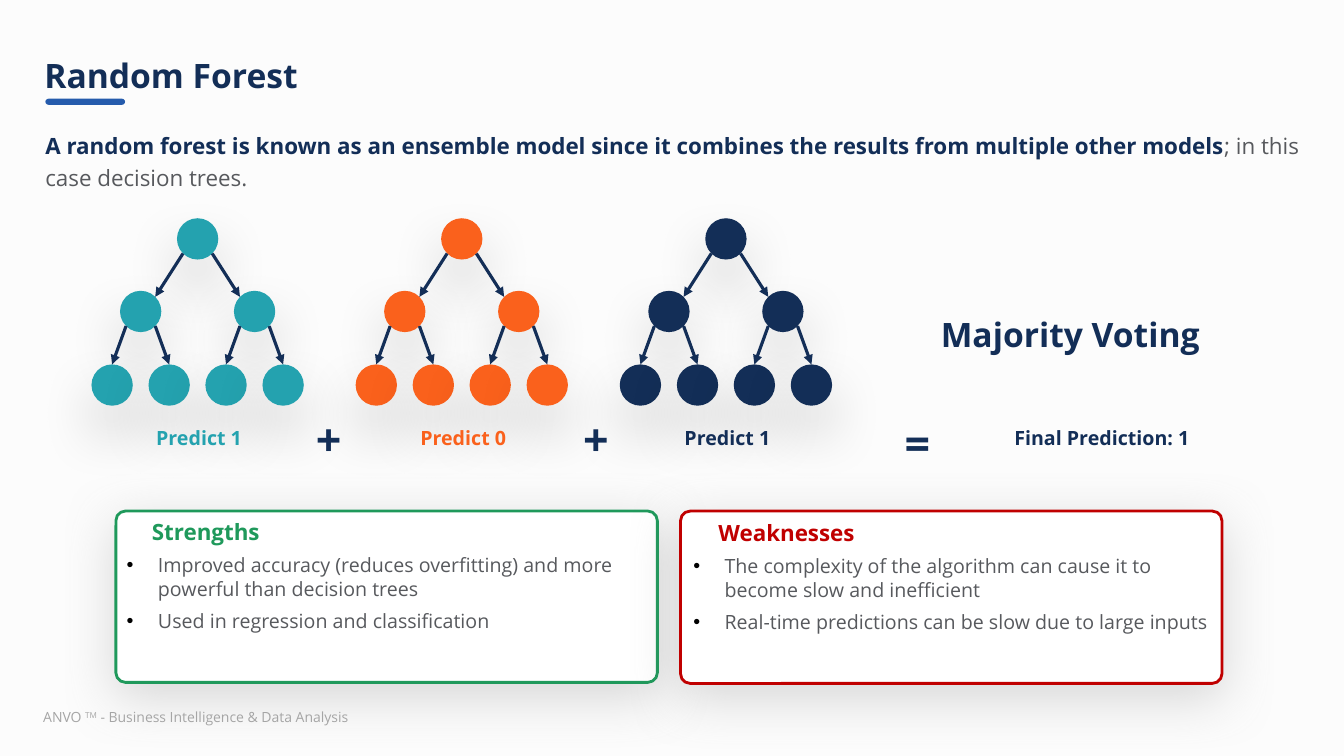
import pptx
import pptx.chart.data
import pptx.dml.color
import pptx.enum.shapes
import pptx.enum.text
import pptx.oxml
import pptx.oxml.ns
import pptx.util
from pptx.util import Inches

FONT = "Open Sans"
NAVY, TEAL, ORANGE = "132E57", "24A2AF", "FA611C"
GREEN, RED, GREY = "1F995B", "C00000", "57595D"
SHAPES = pptx.enum.shapes.MSO_SHAPE
ALIGN = pptx.enum.text.PP_ALIGN
ANCHOR = pptx.enum.text.MSO_ANCHOR
NODE = 0.41  # diameter of a tree node


def color(value):
    return pptx.dml.color.RGBColor.from_string(value)


def add_xml(parent, xml):
    """Append a DrawingML element written without its namespace."""
    tag, rest = xml.split(" ", 1)
    ns = pptx.oxml.ns.nsdecls("a")
    parent.append(pptx.oxml.parse_xml(f"<a:{tag[1:]} {ns} {rest}"))


def add_run(p, text, size, fill, bold=False):
    r = p.add_run()
    r.text = text
    r.font.name = FONT
    r.font.size = pptx.util.Pt(size)
    r.font.bold = bold
    r.font.color.rgb = color(fill)
    return r


def set_frame(tf, insets, anchor=ANCHOR.TOP):
    tf.word_wrap = True
    tf.auto_size = pptx.enum.text.MSO_AUTO_SIZE.NONE
    tf.vertical_anchor = anchor
    tf.margin_left, tf.margin_top, tf.margin_right, tf.margin_bottom = map(Inches, insets)


def add_text(s, box, runs, align=ALIGN.LEFT, spacing=1.2, insets=(0, 0, 0, 0)):
    """Text box with one paragraph; returns its runs."""
    tf = s.shapes.add_textbox(*map(Inches, box)).text_frame
    set_frame(tf, insets)
    p = tf.paragraphs[0]
    p.alignment = align
    p.line_spacing = spacing
    return [add_run(p, *run) for run in runs]


def add_label(s, box, text, size, fill=NAVY):
    add_text(s, box, [(text, size, fill, True)], ALIGN.CENTER)


def add_shape(s, kind, box, fill, line=None, shadow=None):
    """Filled shape; shadow is (colour, opacity %, blur pt, distance pt)."""
    sp = s.shapes.add_shape(kind, *map(Inches, box))
    sp.fill.solid()
    sp.fill.fore_color.rgb = color(fill)
    if line:
        sp.line.color.rgb = color(line)
        sp.line.width = pptx.util.Pt(2)
    else:
        sp.line.fill.background()
    sp.shadow.inherit = False
    if shadow:
        tint, opacity, blur, distance = shadow
        effects = sp._element.spPr.find(pptx.oxml.ns.qn("a:effectLst"))
        add_xml(effects, f'<outerShdw blurRad="{pptx.util.Pt(blur)}" '
                         f'dist="{pptx.util.Pt(distance)}" dir="5400000" algn="t" rotWithShape="0">'
                         f'<a:srgbClr val="{tint}"><a:alpha val="{opacity * 1000}"/>'
                         '</a:srgbClr></a:outerShdw>')
    return sp


def add_arrow(s, x1, y1, x2, y2):
    line = s.shapes.add_connector(pptx.enum.shapes.MSO_CONNECTOR.STRAIGHT,
                                  *map(Inches, (x1, y1, x2, y2)))
    line.line.color.rgb = color(NAVY)
    line.line.width = pptx.util.Pt(2.25)
    add_xml(line.line._get_or_add_ln(), '<tailEnd type="triangle"/>')
    add_xml(line._element.spPr, '<effectLst />')


def add_node(s, cx, cy, fill):
    add_shape(s, SHAPES.OVAL, (cx - NODE / 2, cy - NODE / 2, NODE, NODE), fill,
              shadow=("000000", 20, 40, 20))


def add_tree(s, cx, fill, prediction):
    """Three-level decision tree centred on cx, with its prediction below."""
    root_y, branch_y, leaf_y = 2.37, 3.09, 3.82
    rim = 0.145  # offset of the 45-degree point on a node's rim
    add_node(s, cx, root_y, fill)
    for side in (-1, 1):
        branch_x = cx + side * 0.565
        add_node(s, branch_x, branch_y, fill)
        add_arrow(s, cx + side * rim, root_y + rim, branch_x - side * rim, branch_y - rim)
        for leaf_side in (-1, 1):
            leaf_x = branch_x + leaf_side * 0.283
            add_node(s, leaf_x, leaf_y, fill)
            add_arrow(s, branch_x + leaf_side * rim, branch_y + rim, leaf_x, leaf_y - NODE / 2)
    add_label(s, (cx - 0.5, 4.18, 1.03, 0.31), prediction, 14, fill)


def add_card(s, box, heading, accent, points, insets):
    """Rounded card with a heading and bullet points."""
    sp = add_shape(s, SHAPES.ROUNDED_RECTANGLE, box, "FFFFFF", accent, ("808080", 29, 39, 9))
    sp.adjustments[0] = 0.056
    tf = sp.text_frame
    set_frame(tf, insets)
    p = tf.paragraphs[0]
    p.alignment = ALIGN.LEFT
    p._p.get_or_add_pPr().set("marL", str(Inches(0.25)))
    add_run(p, heading, 16, accent, True)
    for point in points:
        p = tf.add_paragraph()
        p.alignment = ALIGN.LEFT
        p.space_before = pptx.util.Pt(6)
        pPr = p._p.get_or_add_pPr()
        pPr.set("marL", str(Inches(0.31)))
        pPr.set("indent", str(Inches(-0.31)))
        add_xml(pPr, '<buClr ><a:srgbClr val="000000"/></a:buClr>')
        add_xml(pPr, '<buFont typeface="Arial"/>')
        add_xml(pPr, '<buChar char="•"/>')
        add_run(p, point, 14, GREY)


def add_title(s, text):
    title = s.shapes.title
    title.left, title.top, title.width, title.height = map(Inches, (0.34, 0.38, 11.53, 0.77))
    set_frame(title.text_frame, (0.1, 0.05, 0.1, 0.05), ANCHOR.MIDDLE)
    p = title.text_frame.paragraphs[0]
    p.alignment = ALIGN.LEFT
    p.line_spacing = 0.9
    add_run(p, text, 24, NAVY, True)
    underline = add_shape(s, SHAPES.ROUNDED_RECTANGLE, (0.45, 0.98, 0.79, 0.06), "255BAC")
    underline.adjustments[0] = 0.5


def main():
    prs = pptx.Presentation()
    prs.slide_width, prs.slide_height = Inches(13.33), Inches(7.5)
    s = prs.slides.add_slide(prs.slide_layouts[5])
    s.background.fill.solid()
    s.background.fill.fore_color.rgb = color("FCFCFC")

    # Title and introduction
    add_title(s, "Random Forest")
    add_text(s, (0.45, 1.26, 12.44, 0.88), [
        ("A random forest is known as an ensemble model since it combines "
         "the results from multiple other models", 16, NAVY, True),
        ("; in this case decision trees.", 16, GREY)])

    # Trees and their predictions
    trees = [(TEAL, "Predict 1"), (ORANGE, "Predict 0"), (NAVY, "Predict 1")]
    for i, (fill, prediction) in enumerate(trees):
        add_tree(s, 1.96 + 2.62 * i, fill, prediction)

    # Operators and the vote
    for x, y, sign in [(2.29, 3.98, "+"), (4.94, 3.98, "+"), (8.13, 4.02, "=")]:
        add_label(s, (x, y, 1.94, 0.31), sign, 32)
    add_label(s, (9.11, 3.03, 3.01, 0.58), "Majority Voting", 24)
    add_label(s, (9.96, 4.18, 1.94, 0.31), "Final Prediction: 1", 14)

    # Strengths and weaknesses
    add_card(s, (1.15, 5.07, 5.37, 1.7), "Strengths", GREEN, [
        "Improved accuracy (reduces overfitting) and more powerful than decision trees",
        "Used in regression and classification"], (0.08, 0.04, 0.04, 0.04))
    add_card(s, (6.75, 5.07, 5.37, 1.71), "Weaknesses", RED, [
        "The complexity of the algorithm can cause it to become slow and inefficient",
        "Real-time predictions can be slow due to large inputs"], (0.1, 0.05, 0.1, 0.05))

    # Footer
    footer = add_text(s, (0.33, 6.98, 3.45, 0.27), [
        ("ANVO ", 10, "A5A5A5"), ("TM", 10, "A5A5A5"),
        (" - Business Intelligence & Data Analysis", 10, "A5A5A5")],
        spacing=1.0, insets=(0.1, 0.05, 0.1, 0.05))
    footer[1].font._element.set("baseline", "30000")

    prs.save("out.pptx")


if __name__ == "__main__":
    main()
